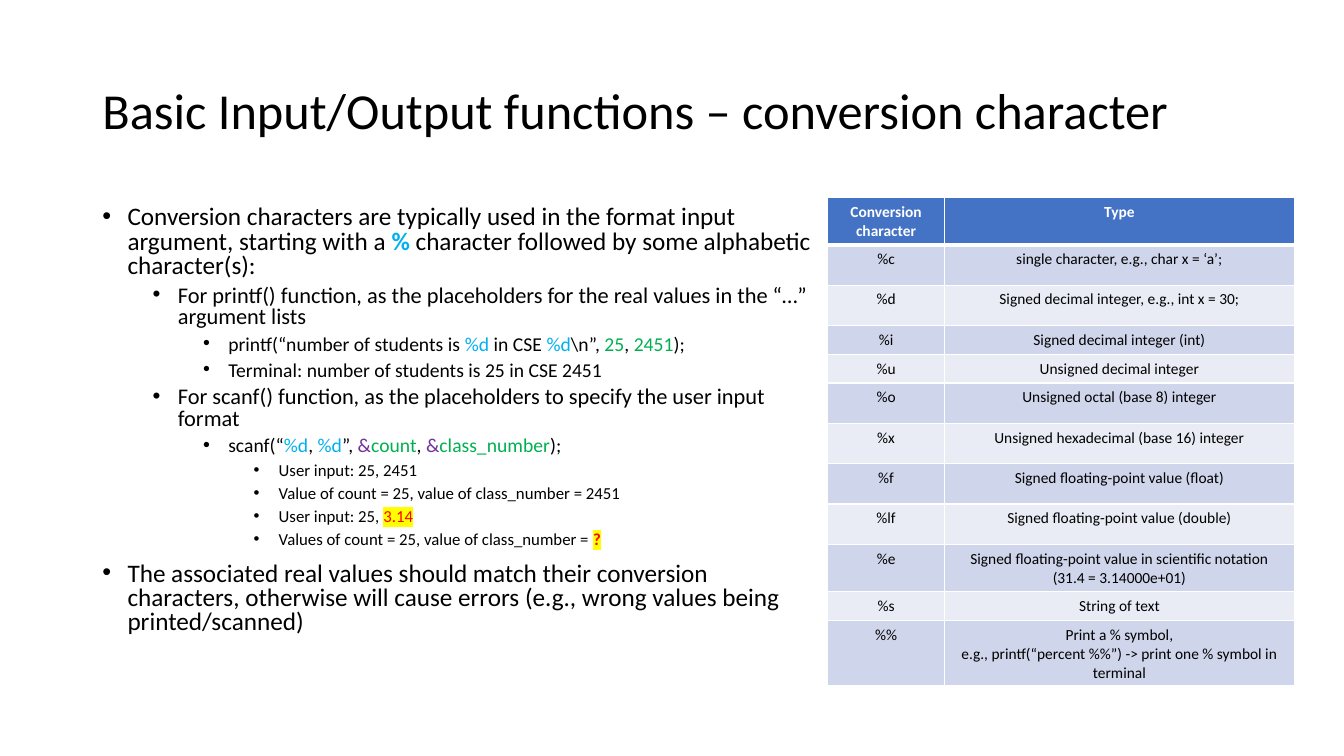
"""Build a slide on conversion characters for basic input and output."""
from lxml import etree
from pptx import Presentation
from pptx.dml.color import RGBColor
from pptx.enum.text import MSO_ANCHOR, MSO_AUTO_SIZE, PP_ALIGN
from pptx.oxml.ns import qn
from pptx.util import Pt

MIDDLE = MSO_ANCHOR.MIDDLE
FIXED = MSO_AUTO_SIZE.NONE
LEFT, CENTER = PP_ALIGN.LEFT, PP_ALIGN.CENTER
FONT = "Calibri"
COLORS = {
    "black": "000000", "white": "FFFFFF", "blue": "00B0F0",
    "green": "00B050", "purple": "7030A0", "red": "FF0000",
    "yellow": "FFFF00", "head": "4472C4", "odd": "CFD5EA", "even": "E9EBF5",
}


def add_run(para, text, size, color="black", bold=False, mark=None):
    run = para.add_run()
    run.text = text
    font = run.font
    font.size, font.bold = Pt(size), bold
    font.color.rgb = RGBColor.from_string(COLORS[color])
    if mark:
        light = etree.SubElement(font._element, qn("a:highlight"))
        etree.SubElement(light, qn("a:srgbClr"), val=COLORS[mark])
    font.name = FONT


def add_edge(props, index, side, width):
    line = etree.Element(qn(f"a:ln{side}"), w=str(Pt(width)))
    fill = etree.SubElement(line, qn("a:solidFill"))
    etree.SubElement(fill, qn("a:srgbClr"), val=COLORS["white"])
    props.insert(index, line)


deck = Presentation()
deck.slide_width, deck.slide_height = Pt(960), Pt(540)
slide = deck.slides.add_slide(deck.slide_layouts[5])

title = slide.shapes.title
title.left, title.top, title.width, title.height = Pt(66), Pt(28.8), Pt(828), Pt(104.4)
frame = title.text_frame
frame.word_wrap, frame.auto_size, frame.vertical_anchor = True, FIXED, MIDDLE
para = frame.paragraphs[0]
para.alignment, para.line_spacing = LEFT, 0.9
add_run(para, "Basic Input/Output functions – conversion character", 36)

SIZES = [18, 16, 14, 12]
POINTS = [
    (0, [("Conversion characters are typically used in the format input argument, starting with a ",),
         ("% ", "blue", True),
         ("character followed by some alphabetic character(s):",)]),
    (1, [("For printf() function, as the placeholders for the real values in the “…” argument lists",)]),
    (2, [("printf(“number of students is ",), ("%d", "blue"), (" in CSE ",),
         ("%d", "blue"), ("\\n”, ",), ("25", "green"), (", ",),
         ("2451", "green"), (");",)]),
    (2, [("Terminal: number of students is 25 in CSE 2451",)]),
    (1, [("For scanf() function, as the placeholders to specify the user input format",)]),
    (2, [("scanf(“",), ("%d", "blue"), (", ",), ("%d", "blue"), ("”, ",),
         ("&", "purple"), ("count", "green"), (", ",),
         ("&", "purple"), ("class_number", "green"), (");",)]),
    (3, [("User input: 25, 2451",)]),
    (3, [("Value of count = 25, value of class_number = 2451",)]),
    (3, [("User input: 25, ",), ("3.14", "red", False, "yellow")]),
    (3, [("Values of count = 25, value of class_number = ",),
         ("?", "red", True, "yellow")]),
    (0, [("The associated real values should match their conversion characters, "
          "otherwise will cause errors (e.g., wrong values being printed/scanned)",)]),
]
body = slide.shapes.add_textbox(Pt(66), Pt(144), Pt(525), Pt(342.6))
frame = body.text_frame
frame.word_wrap = True
for index, (level, parts) in enumerate(POINTS):
    para = frame.add_paragraph() if index else frame.paragraphs[0]
    para.level, para.line_spacing = level, 0.8
    para.space_before = Pt(5 if level else 10)
    props = para._p.get_or_add_pPr()
    props.set("marL", str(Pt(18 + 36 * level)))
    props.set("indent", str(Pt(-18)))
    etree.SubElement(props, qn("a:buFont"), typeface="Arial")
    etree.SubElement(props, qn("a:buChar"), char="•")
    for part in parts:
        text, *style = part
        add_run(para, text, SIZES[level], *style)

ROWS = [
    (33.5, "Conversion character", ["Type"]),
    (28.8, "%c", ["single character, e.g., char x = ‘a’;"]),
    (28.8, "%d", ["Signed decimal integer, e.g., int x = 30;"]),
    (20.6, "%i", ["Signed decimal integer (int)"]),
    (20.6, "%u", ["Unsigned decimal integer"]),
    (28.8, "%o", ["Unsigned octal (base 8) integer"]),
    (28.8, "%x", ["Unsigned hexadecimal (base 16) integer"]),
    (28.8, "%f", ["Signed floating-point value (float)"]),
    (28.8, "%lf", ["Signed floating-point value (double)"]),
    (33.5, "%e", ["Signed floating-point value in scientific notation (31.4 = 3.14000e+01)"]),
    (20.6, "%s", ["String of text"]),
    (47, "%%", ["Print a % symbol,",
                "e.g., printf(“percent %%”) -> print one % symbol in terminal"]),
]
total = sum(row[0] for row in ROWS)
table = slide.shapes.add_table(len(ROWS), 2, Pt(591.2), Pt(141.2), Pt(333.4), Pt(total)).table
table.columns[0].width, table.columns[1].width = Pt(83.5), Pt(249.9)
for index, (height, sign, lines) in enumerate(ROWS):
    table.rows[index].height = Pt(height)
    shade = "head" if index == 0 else "odd" if index % 2 else "even"
    widths = {"L": 1, "R": 1, "T": 3 if index == 1 else 1, "B": 1 if index else 3}
    for cell, texts in zip(table.rows[index].cells, ([sign], lines)):
        cell.fill.solid()
        cell.fill.fore_color.rgb = RGBColor.from_string(COLORS[shade])
        for place, (side, width) in enumerate(widths.items()):
            add_edge(cell._tc.get_or_add_tcPr(), place, side, width)
        frame = cell.text_frame
        for order, text in enumerate(texts):
            para = frame.add_paragraph() if order else frame.paragraphs[0]
            para.alignment = CENTER
            add_run(para, text, 11, "black" if index else "white", index == 0)

deck.save("out.pptx")
